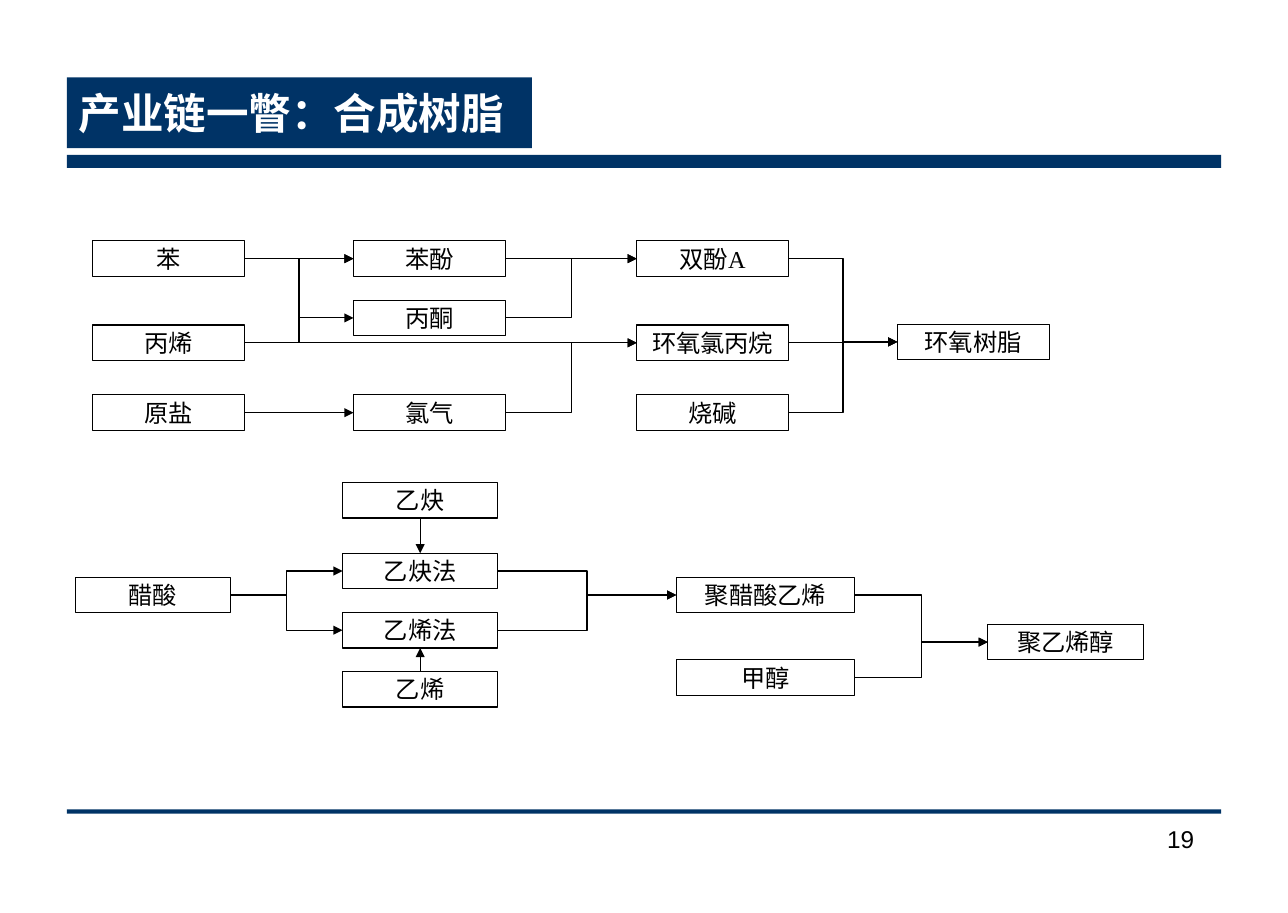
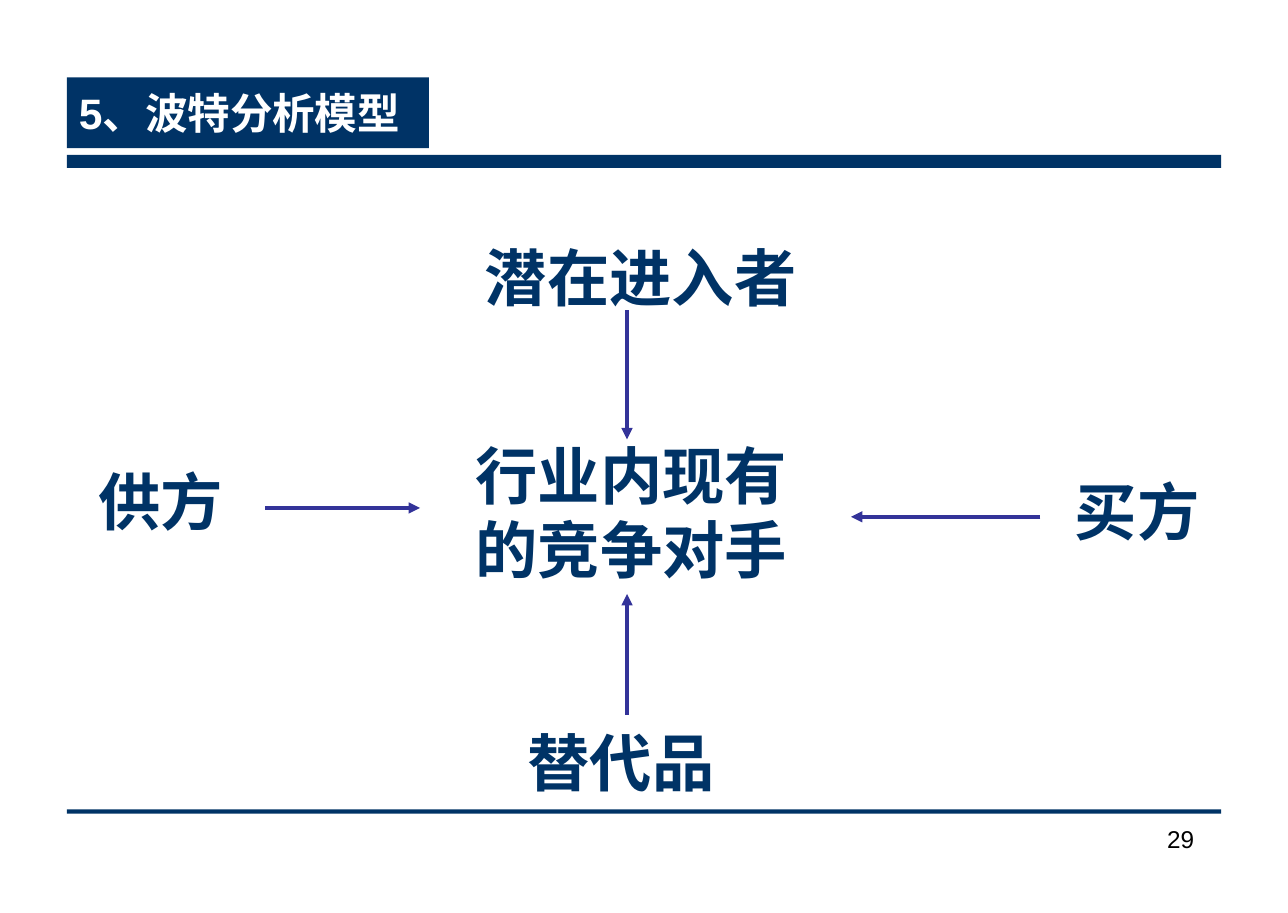
from pptx import Presentation
from pptx.dml.color import RGBColor
from pptx.enum.shapes import MSO_CONNECTOR, MSO_SHAPE
from pptx.enum.text import MSO_ANCHOR, PP_ALIGN
from pptx.oxml.ns import qn
from pptx.util import Pt
from lxml import etree

NAVY, INK, WHITE, VIOLET = "003366", "000000", "FFFFFF", "333399"
EDGE, SPAN = 44, 759.6
TOP, LEFT, BOTTOM, RIGHT = range(4)  # connection sites of a rectangle

HEAD = {"name": "Arial", "size": Pt(28), "bold": True, "color": WHITE}
PAGE = {"name": "Arial", "size": Pt(16), "color": INK}
NODE = {"name": "Times New Roman", "size": Pt(16), "color": INK}
FORCE = {"name": "Times New Roman", "size": Pt(41), "bold": True, "color": NAVY}

# left, width, [(top, label), ...]
COLUMNS = [
    (61, 100, [(158.6, "苯"), (214, "丙烯"), (260, "原盐")]),
    (232.6, 100, [(158.6, "苯酚"), (197.6, "丙酮"), (260, "氯气")]),
    (419, 100, [(158.6, "双酚A"), (214, "环氧氯丙烷"), (260, "烧碱")]),
    (590.4, 100, [(213.4, "环氧树脂")]),
    (49.4, 102.2, [(380, "醋酸")]),
    (225.4, 102.2, [(317.6, "乙炔"), (364.2, "乙炔法"),
                    (403.2, "乙烯法"), (442, "乙烯")]),
    (445, 117.4, [(380, "聚醋酸乙烯"), (434.2, "甲醇")]),
    (650, 102.2, [(411, "聚乙烯醇")]),
]
FLOWS = [
    ("苯", "苯酚"), ("丙烯", "苯酚"), ("丙烯", "丙酮"), ("丙烯", "环氧氯丙烷"),
    ("原盐", "氯气"), ("苯酚", "双酚A"), ("丙酮", "双酚A"), ("氯气", "环氧氯丙烷"),
    ("双酚A", "环氧树脂"), ("环氧氯丙烷", "环氧树脂"), ("烧碱", "环氧树脂"),
    ("醋酸", "乙炔法"), ("醋酸", "乙烯法"),
    ("乙炔法", "聚醋酸乙烯"), ("乙烯法", "聚醋酸乙烯"),
    ("聚醋酸乙烯", "聚乙烯醇"), ("甲醇", "聚乙烯醇"),
]
FORCES = [
    (311.2, 153, 311, "潜在进入者"),
    (699.4, 307, 120, "买方"),
    (339.2, 472.2, 205, "替代品"),
    (56.6, 300.6, 148, "供方"),
    (305, 283.2, 261, "行业内现有的竞争对手"),
]
ARROWS = [
    (174.4, 334.4, 276.4, 334.4),
    (412.6, 470.6, 412.6, 391),
    (412.6, 204.2, 412.6, 289.2),
    (684.6, 340.2, 560, 340.2),
]


def paint(text):
    return RGBColor.from_string(text)


def write(shape, text, style, align=PP_ALIGN.LEFT, anchor=MSO_ANCHOR.TOP):
    frame = shape.text_frame
    look = {"word_wrap": True, "vertical_anchor": anchor,
            "margin_left": Pt(7.9), "margin_right": Pt(7.9),
            "margin_top": Pt(4.3), "margin_bottom": Pt(4.3)}
    for key, value in look.items():
        setattr(frame, key, value)
    para = frame.paragraphs[0]
    para.alignment = align
    run = para.add_run()
    run.text = text
    for key, value in style.items():
        if key == "color":
            run.font.color.rgb = paint(value)
        else:
            setattr(run.font, key, value)


def rect(slide, left, top, width, height, fill, line=None):
    shape = slide.shapes.add_shape(
        MSO_SHAPE.RECTANGLE, Pt(left), Pt(top), Pt(width), Pt(height))
    shape.shadow.inherit = False
    shape.fill.solid()
    shape.fill.fore_color.rgb = paint(fill)
    if line:
        shape.line.color.rgb = paint(line)
        shape.line.width = Pt(0.75)
    else:
        shape.line.fill.background()
    return shape


def label(slide, left, top, width, height, text, style, align=PP_ALIGN.LEFT):
    box = slide.shapes.add_textbox(Pt(left), Pt(top), Pt(width), Pt(height))
    write(box, text, style, align)


def arrow(slide, ends, color, width, kind=MSO_CONNECTOR.STRAIGHT):
    line = slide.shapes.add_connector(kind, *ends)
    line.line.color.rgb = paint(color)
    line.line.width = Pt(width)
    stroke = line._element.spPr.find(qn("a:ln"))
    etree.SubElement(stroke, qn("a:tailEnd"), type="triangle")
    etree.SubElement(line._element.spPr, qn("a:effectLst"))
    return line


def site(box, side):
    """Return the middle of one side of a box."""
    x = {LEFT: 0, RIGHT: box.width}.get(side, box.width // 2)
    y = {TOP: 0, BOTTOM: box.height}.get(side, box.height // 2)
    return box.left + x, box.top + y


def link(slide, start, end, out=RIGHT, into=LEFT):
    """Join two boxes, with a bend when their middles differ."""
    ends = site(start, out) + site(end, into)
    bent = out == RIGHT and abs(ends[1] - ends[3]) > Pt(0.1)
    kind = MSO_CONNECTOR.ELBOW if bent else MSO_CONNECTOR.STRAIGHT
    line = arrow(slide, ends, INK, 0.75, kind)
    line.begin_connect(start, out)
    line.end_connect(end, into)


def page(deck, title, width, number):
    """Add a slide with the shared title tag, bands and page number."""
    slide = deck.slides.add_slide(deck.slide_layouts[6])
    rect(slide, EDGE, 102, SPAN, 8.6, NAVY)
    rect(slide, EDGE, 532.8, SPAN, 2.9, NAVY)
    label(slide, 729.6, 538.2, 64, 41.8, number, PAGE, PP_ALIGN.RIGHT)
    tag = rect(slide, EDGE, 51, width, 46.6, NAVY)
    write(tag, title, HEAD, anchor=MSO_ANCHOR.MIDDLE)
    return slide


def chain(deck):
    slide = page(deck, "产业链一瞥：合成树脂", 306, "19")
    nodes = {}
    for left, width, items in COLUMNS:
        for top, text in items:
            node = rect(slide, left, top, width, 23.4, WHITE, INK)
            write(node, text, NODE, PP_ALIGN.CENTER, MSO_ANCHOR.MIDDLE)
            nodes[text] = node
    for start, end in FLOWS:
        link(slide, nodes[start], nodes[end])
    link(slide, nodes["乙炔"], nodes["乙炔法"], BOTTOM, TOP)
    link(slide, nodes["乙烯"], nodes["乙烯法"], TOP, BOTTOM)


def porter(deck):
    slide = page(deck, "5、波特分析模型", 238.2, "29")
    for left, top, width, text in FORCES:
        height = 106.6 if len(text) > 5 else 57.6
        label(slide, left, top, width, height, text, FORCE)
    for ends in ARROWS:
        arrow(slide, [Pt(value) for value in ends], VIOLET, 2.5)


def main():
    deck = Presentation()
    deck.slide_width = Pt(847.5)
    deck.slide_height = Pt(601)
    chain(deck)
    porter(deck)
    deck.save("out.pptx")


if __name__ == "__main__":
    main()
